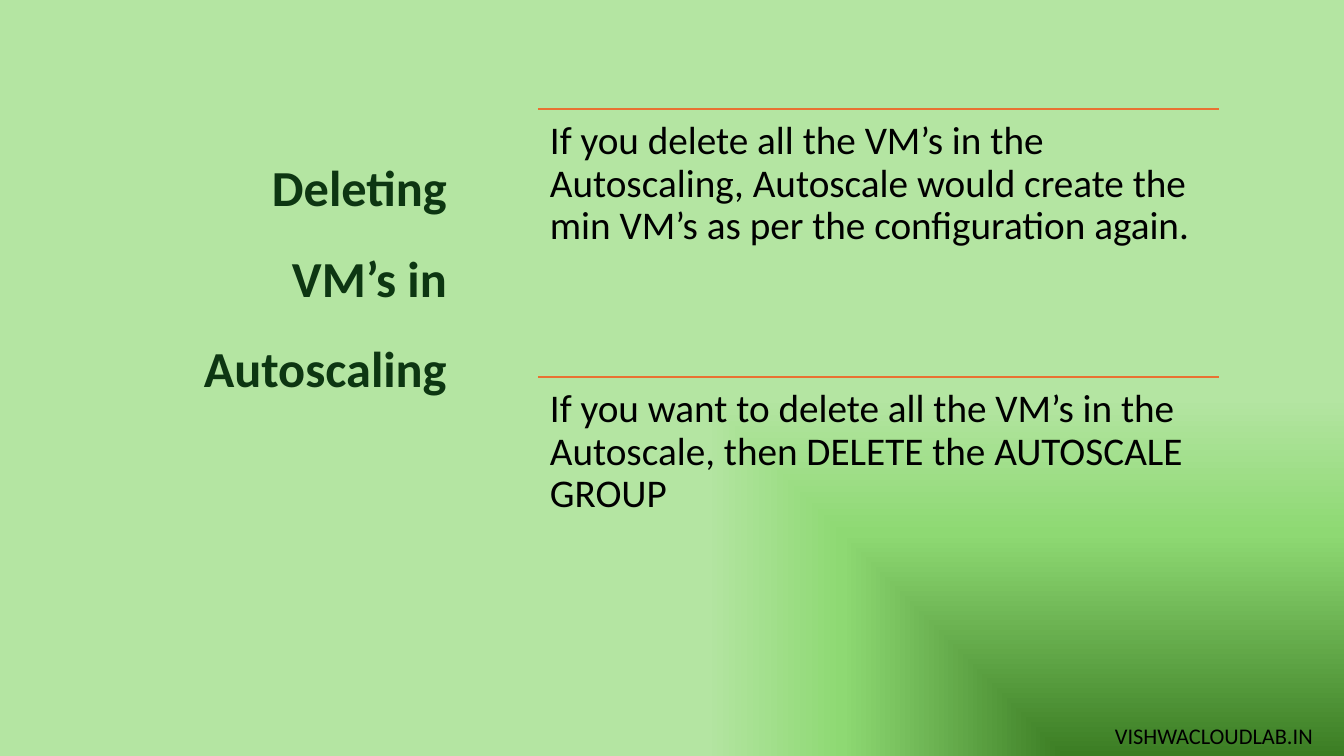
from lxml import etree
from pptx import Presentation
from pptx.dml.color import RGBColor
from pptx.enum.shapes import MSO_CONNECTOR
from pptx.enum.text import MSO_ANCHOR, MSO_AUTO_SIZE, PP_ALIGN
from pptx.oxml import parse_xml
from pptx.oxml.ns import nsdecls, qn
from pptx.util import Pt

STRAIGHT = MSO_CONNECTOR.STRAIGHT
BOTTOM = MSO_ANCHOR.BOTTOM
TOP = MSO_ANCHOR.TOP
NO_AUTOFIT = MSO_AUTO_SIZE.NONE
LEFT = PP_ALIGN.LEFT
RIGHT = PP_ALIGN.RIGHT

EMU_PER_PX = 914400 / 100.8
SLIDE_WIDTH, SLIDE_HEIGHT = 1344, 756
FONT = "Calibri"
TITLE_ONLY_LAYOUT = 5

COLORS = {
    "title": "0D3612",
    "text": "000000",
    "rule": "E97132",
    "glow": "F0F8FD",
    "dark": "3B7D23",
    "middle": "8ED973",
    "light": "B4E5A2",
}
BACKGROUND_STOPS = [(0, "glow"), (0, "dark"), (59, "middle"), (95, "light")]

POINTS = [
    "If you delete all the VM’s in the Autoscaling, Autoscale would create "
    "the min VM’s as per the configuration again.",
    "If you want to delete all the VM’s in the Autoscale, then DELETE the "
    "AUTOSCALE GROUP",
]
POINT_LEFT, POINT_TOP, POINT_WIDTH, POINT_HEIGHT = 538, 109, 681, 268
POINT_INSET = 12


def px(length):
    return round(length * EMU_PER_PX)


def color(name):
    return RGBColor.from_string(COLORS[name])


def paint_background(slide):
    """Fill the slide with a rectangular gradient centred on its lower right corner."""
    slide.background.fill.gradient()
    gradient = slide.element.find(".//" + qn("a:gradFill"))
    stops = "".join(
        f'<a:gs pos="{percent * 1000}"><a:srgbClr val="{COLORS[name]}"/></a:gs>'
        for percent, name in BACKGROUND_STOPS
    )
    corner_gradient = parse_xml(
        f'<a:gradFill {nsdecls("a")} rotWithShape="1"><a:gsLst>{stops}</a:gsLst>'
        '<a:path path="rect"><a:fillToRect l="100000" t="100000"/></a:path>'
        "</a:gradFill>"
    )
    gradient.getparent().replace(gradient, corner_gradient)


def write_text(shape, text, size, color_name="text", bold=False, align=LEFT,
               spacing=1.0, anchor=TOP):
    frame = shape.text_frame
    frame.word_wrap = True
    frame.auto_size = NO_AUTOFIT
    frame.vertical_anchor = anchor
    paragraph = frame.paragraphs[0]
    paragraph.alignment = align
    paragraph.line_spacing = spacing
    run = paragraph.add_run()
    run.text = text
    run.font.name = FONT
    run.font.size = Pt(size)
    run.font.bold = bold
    run.font.color.rgb = color(color_name)


def add_text_box(slide, left, top, width, height):
    return slide.shapes.add_textbox(px(left), px(top), px(width), px(height))


def add_title(slide, text):
    title = slide.shapes.title
    title.left, title.top = px(181), px(227)
    title.width, title.height = px(276), px(176)
    write_text(title, text, 36, "title", bold=True, align=RIGHT, spacing=1.5,
               anchor=BOTTOM)


def add_rule(slide, left, top, width):
    rule = slide.shapes.add_connector(
        STRAIGHT, px(left), px(top), px(left + width), px(top))
    rule.line.color.rgb = color("rule")
    rule.line.width = Pt(1.5)
    etree.SubElement(rule.element.spPr, qn("a:effectLst"))


def add_point(slide, top, text):
    add_rule(slide, POINT_LEFT, top, POINT_WIDTH)
    box = add_text_box(slide, POINT_LEFT, top, POINT_WIDTH, POINT_HEIGHT)
    frame = box.text_frame
    frame.margin_left = frame.margin_right = px(POINT_INSET)
    frame.margin_top = frame.margin_bottom = px(POINT_INSET)
    write_text(box, text, 28, spacing=0.9)


def main():
    presentation = Presentation()
    presentation.slide_width = px(SLIDE_WIDTH)
    presentation.slide_height = px(SLIDE_HEIGHT)
    layout = presentation.slide_layouts[TITLE_ONLY_LAYOUT]
    slide = presentation.slides.add_slide(layout)

    paint_background(slide)
    site = add_text_box(slide, 1105, 717, 237, 37)
    write_text(site, "VISHWACLOUDLAB.IN", 16)
    add_title(slide, "Deleting VM’s in Autoscaling")
    for index, text in enumerate(POINTS):
        add_point(slide, POINT_TOP + index * POINT_HEIGHT, text)

    presentation.save("out.pptx")


if __name__ == "__main__":
    main()
